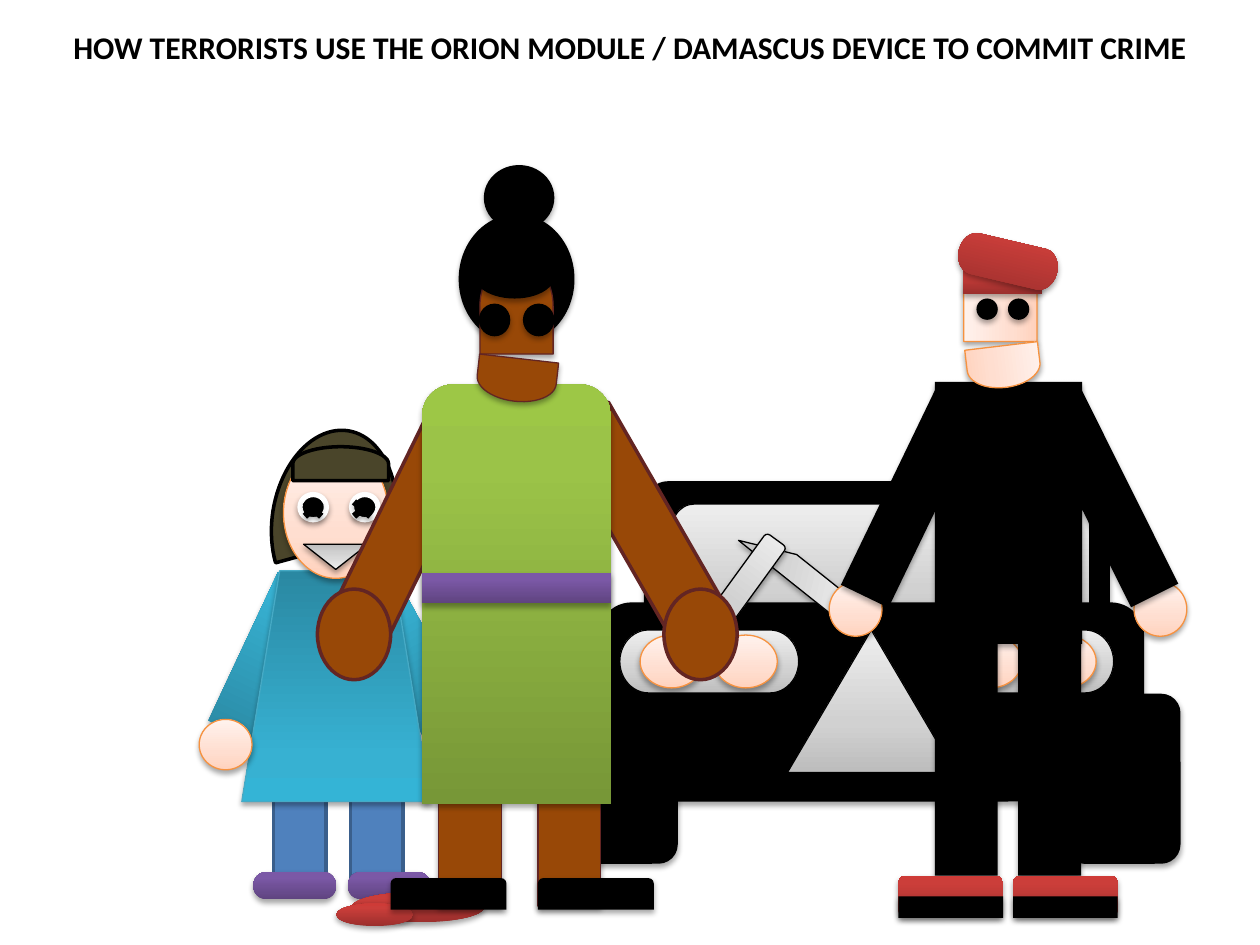
from copy import deepcopy

from pptx import Presentation
from pptx.dml.color import RGBColor
from pptx.enum.shapes import MSO_SHAPE as S
from pptx.enum.text import MSO_ANCHOR, PP_ALIGN
from pptx.oxml.ns import qn
from pptx.util import Pt

BLACK = RGBColor(0x00, 0x00, 0x00)
WHITE = RGBColor(0xFF, 0xFF, 0xFF)
BROWN = RGBColor(0x98, 0x48, 0x07)
DARK_BROWN = RGBColor(0x63, 0x25, 0x23)
HAIR = RGBColor(0x4A, 0x45, 0x2A)
DENIM = RGBColor(0x4F, 0x81, 0xBD)
DARK_DENIM = RGBColor(0x3A, 0x5F, 0x8C)
TEAL = RGBColor(0x46, 0xAA, 0xC5)
ORANGE = RGBColor(0xF6, 0x92, 0x40)


def gradient(middle, *colors):
    """Return three (position, colour) stops, running from bottom to top."""
    return list(zip((0, middle, 1), map(RGBColor.from_string, colors)))


GREY_BLEND = gradient(0.35, "BDBDBD", "D1D1D1", "EEEEEE")
SKIN_BLEND = gradient(0.35, "FFD2BD", "FFDED0", "FFF2ED")
RED_BLEND = gradient(0.8, "9C2F2D", "CB3E3A", "CE3B37")
TEAL_BLEND = gradient(0.8, "2A88A2", "37B1D2", "34B4D6")
PURPLE_BLEND = gradient(0.8, "5F4480", "7B58A6", "7C57A8")
GREEN_BLEND = gradient(0.8, "779737", "9BC348", "9DC746")

# Style: fill, line colour, line width, shadow
STYLES = {
    "black": (BLACK, None, 0, True),
    "metal": (GREY_BLEND, BLACK, 0.75, True),
    "skin": (SKIN_BLEND, ORANGE, 0.75, True),
    "red": (RED_BLEND, None, 0, True),
    "teal": (TEAL_BLEND, None, 0, True),
    "tunic": (TEAL_BLEND, TEAL, 0.75, True),
    "purple": (PURPLE_BLEND, None, 0, True),
    "green": (GREEN_BLEND, None, 0, True),
    "hair": (HAIR, BLACK, 2, False),
    "denim": (DENIM, DARK_DENIM, 2, False),
    "eye": (BLACK, WHITE, 3, True),
    "brown": (BROWN, DARK_BROWN, 0.75, True),
    "limb": (BROWN, DARK_BROWN, 2, False),
}

# Part: shape, left edges, top, width, height, style, rotation
GIRL_FAR_ARM = [
    (S.FLOWCHART_PROCESS, [218.9], 328.3, 30.2, 93.6, "teal", 331.4),
]
CAR = [
    (S.ROUND_2_SAME_RECTANGLE, [367.9], 275, 266.4, 84.2, "black", 0),
    (S.ROUND_2_SAME_RECTANGLE, [384.5], 288, 238.3, 74.9, "metal", 0),
    (S.ROUNDED_RECTANGLE, [321.1, 608.4], 396.4, 66.2, 97.2, "black", 0),
    (S.ROUNDED_RECTANGLE, [342], 344.2, 311.8, 113.8, "black", 0),
    (S.ISOSCELES_TRIANGLE, [450], 360, 95.8, 81.4, "metal", 0),
    (S.FLOWCHART_TERMINATOR, [534.2, 354.2], 360, 102.2, 36, "metal", 0),
    (S.OVAL, [365.8, 408.2, 547.9, 590.4], 362.9, 36, 30.2, "skin", 0),
]
BLADE = [
    (S.DIAGONAL_STRIPE, [435.6], 298.1, 31.7, 68.4, "metal", 103.7),
]
SOLDIER = [
    (S.OVAL, [648, 473.8], 332.6, 30.2, 31, "skin", 0),
    (S.FLOWCHART_PROCESS, [506.9], 218.9, 30.2, 128.2, "black", 25.8),
    (S.FLOWCHART_PROCESS, [616.3], 219.6, 30.2, 127.4, "black", 333.5),
    (S.FLOWCHART_DELAY, [544.3], 146.9, 54.7, 41.8, "skin", 270),
    (S.RECTANGLE, [534.2, 581.8], 362.2, 36, 138.2, "black", 0),
    (S.ROUNDED_RECTANGLE, [578.9, 513.4], 500.4, 59.8, 23.8, "red", 0),
    (S.RECTANGLE, [578.9, 513.4], 512.3, 59.8, 12.2, "black", 0),
    (S.RECTANGLE, [534.2], 218.2, 84.2, 149.8, "black", 0),
    (S.RECTANGLE, [550.1], 154.1, 45.4, 13.7, "red", 0),
    (S.FLOWCHART_TERMINATOR, [547.2], 137.5, 57.6, 23.8, "red", 13.2),
    (S.OVAL, [558, 576], 170.6, 12.2, 12.2, "black", 0),
]
SOLDIER_JAW = [
    (S.FLOWCHART_DELAY, [561.6], 188.6, 23.8, 41.8, "skin", 83.2),
]
GIRL = [
    (S.FLOWCHART_PROCESS, [137.5], 329, 30.2, 93.6, "teal", 25.2),
    (S.CHORD, [139], 262.1, 103.7, 70.6, "hair", 99),
    (S.FLOWCHART_PROCESS, [156.2, 200.2], 411.1, 30.2, 93.6, "denim", 0),
    (S.FLOWCHART_MANUAL_OPERATION, [138.2], 326.2, 108, 131.8, "tunic", 180),
    (S.FLOWCHART_TERMINATOR, [144.7, 198.7], 498.2, 47.5, 15.8, "purple", 0),
    (S.OVAL, [162], 255.6, 59.8, 74.9, "skin", 0),
    (S.FLOWCHART_DELAY, [185], 237.6, 19.4, 54.7, "hair", 270),
    (S.OVAL, [113.8], 411.1, 30.2, 28.8, "skin", 0),
]
GIRL_FACE = [
    (S.OVAL, [171.4, 200.9], 282.6, 15.1, 14.4, "eye", 0),
    (S.ISOSCELES_TRIANGLE, [173.5], 311, 36.7, 14.4, "metal", 180),
    (S.MATH_MULTIPLY, [169.9, 198], 283, 18, 15.8, "black", 0),
]
RED_POOL = [
    (S.OVAL, [200.9], 509.8, 75.6, 17.3, "red", 0),
    (S.OVAL, [192.2], 516.2, 43.9, 13, "red", 0),
]
HANDLE = [
    (S.ROUNDED_RECTANGLE, [417.6], 302.4, 14.4, 64.8, "metal", 36),
]
HAIR_BUN = [
    (S.OVAL, [276.5], 94.3, 40.3, 37.4, "black", 0),
]
WOMAN = [
    (S.RECTANGLE, [347.8], 229.7, 36, 135.4, "limb", 330.1),
    (S.RECTANGLE, [216.7], 229.7, 36, 135.4, "limb", 26.1),
    (S.OVAL, [262.1], 122.4, 66.2, 74.2, "black", 0),
    (S.RECTANGLE, [307.4, 250.6], 452.2, 36, 65.5, "brown", 0),
    (S.ROUND_2_SAME_RECTANGLE, [241.2], 219.6, 108, 239.8, "green", 0),
    (S.RECTANGLE, [241.2], 327.6, 108, 17.3, "purple", 0),
    (S.FLOWCHART_DELAY, [267.8], 154.1, 54.7, 41.8, "brown", 270),
    (S.OVAL, [271.4], 145.4, 45.4, 25.2, "black", 0),
    (S.OVAL, [273.6, 298.8], 173.5, 18, 18.7, "black", 0),
    (S.OVAL, [379.4, 181.4], 336.6, 41.8, 51.8, "limb", 0),
]
WOMAN_JAW_AND_SHOES = [
    (S.FLOWCHART_DELAY, [283], 194.4, 24.5, 45.4, "brown", 96.5),
    (S.ROUND_2_SAME_RECTANGLE, [307.4, 223.2], 501.8, 66.2, 18, "black", 0),
]


def draw_part(shapes, kind, left, top, width, height, style, rotation):
    """Add one styled preset shape to a slide or a group."""
    fill, line_color, line_width, has_shadow = STYLES[style]
    shape = shapes.add_shape(kind, Pt(left), Pt(top), Pt(width), Pt(height))
    shape.rotation = rotation
    if isinstance(fill, RGBColor):
        shape.fill.solid()
        shape.fill.fore_color.rgb = fill
    else:
        shape.fill.gradient()
        shape.fill.gradient_angle = 90
        stop_list = shape.element.spPr.find(".//" + qn("a:gsLst"))
        stop_list.append(deepcopy(stop_list[0]))
        for stop, (position, color) in zip(shape.fill.gradient_stops, fill):
            stop.position = position
            stop.color.rgb = color
    if line_color is None:
        shape.line.fill.background()
    else:
        shape.line.color.rgb = line_color
        shape.line.width = Pt(line_width)
    if not has_shadow:
        shape.shadow.inherit = False


presentation = Presentation()
presentation.slide_width = Pt(720)
presentation.slide_height = Pt(540)
slide = presentation.slides.add_slide(presentation.slide_layouts[5])

title = slide.shapes.title
title.left, title.top, title.width, title.height = Pt(0), Pt(12.2), Pt(720), Pt(29)
title.text_frame.vertical_anchor = MSO_ANCHOR.TOP
title.text_frame.word_wrap = True
paragraph = title.text_frame.paragraphs[0]
paragraph.alignment = PP_ALIGN.CENTER
run = paragraph.add_run()
run.text = "HOW TERRORISTS USE THE ORION MODULE / DAMASCUS DEVICE TO COMMIT CRIME"
run.font.name = "Calibri"
run.font.size = Pt(18)
run.font.bold = True
run.font.color.rgb = BLACK

# Back to front; complete figures are grouped
for parts, grouped in [
    (GIRL_FAR_ARM, False), (CAR, True), (BLADE, False), (SOLDIER, True),
    (SOLDIER_JAW, False), (GIRL, True), (GIRL_FACE, False), (RED_POOL, False),
    (HANDLE, False), (HAIR_BUN, False), (WOMAN, True), (WOMAN_JAW_AND_SHOES, False),
]:
    shapes = slide.shapes.add_group_shape().shapes if grouped else slide.shapes
    for kind, lefts, top, width, height, style, rotation in parts:
        for left in lefts:
            draw_part(shapes, kind, left, top, width, height, style, rotation)

presentation.save("out.pptx")
